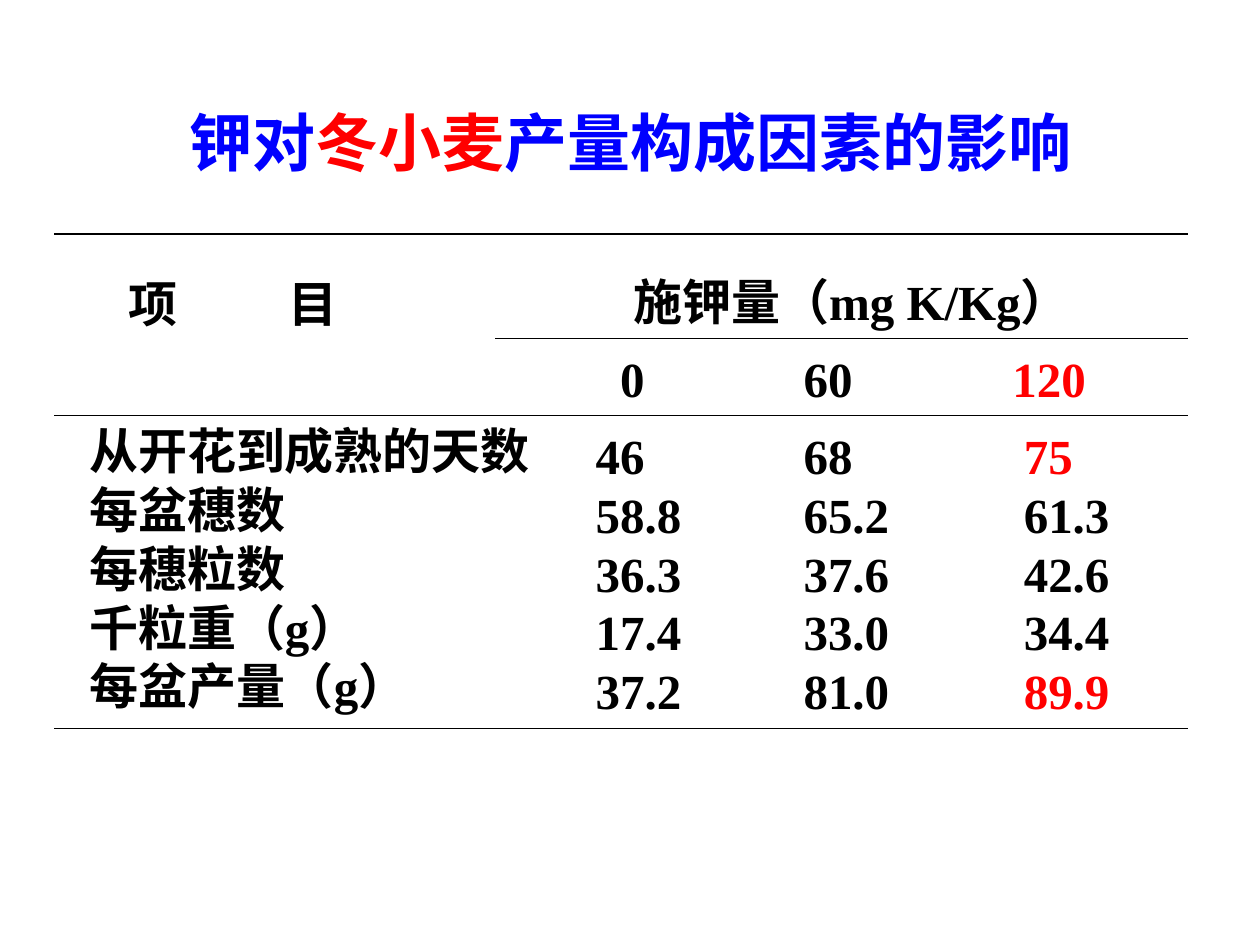
from lxml.etree import SubElement
from pptx import Presentation
from pptx.dml.color import RGBColor
from pptx.enum.shapes import MSO_CONNECTOR
from pptx.oxml.ns import qn
from pptx.util import Cm, Pt

BLACK, RED, BLUE = "000000", "FF0000", "0000FF"


def color(hex_string):
    return RGBColor.from_string(hex_string)


class SlideBuilder:
    """Holds the table text style and the current slide."""

    font_name = "Times New Roman"
    font_size = 28

    def __init__(self, slide):
        self.slide = slide

    def text(self, left, top, width, height, lines, tabs=None, wrap=False,
             spacing=None, font_name=font_name, font_size=font_size):
        """Add one paragraph per line; a line is a list of (text, colour) pieces.

        tabs and spacing map a line index to its tab stops and line spacing.
        """
        box = self.slide.shapes.add_textbox(Cm(left), Cm(top), Cm(width), Cm(height))
        frame = box.text_frame
        frame.word_wrap = wrap
        frame.margin_left = frame.margin_right = Cm(0.3)
        frame.margin_top = frame.margin_bottom = Cm(0.15)
        for index, pieces in enumerate(lines):
            paragraph = frame.paragraphs[0] if index == 0 else frame.add_paragraph()
            if tabs:
                self.tab_stops(paragraph, tabs[index])
            if spacing:
                paragraph.line_spacing = spacing[index]
            for content, hex_string in pieces:
                run = paragraph.add_run()
                run.text = content
                run.font.name = font_name
                run.font.size = Pt(font_size)
                run.font.bold = True
                run.font.color.rgb = color(hex_string)

    def tab_stops(self, paragraph, positions):
        tab_list = SubElement(paragraph._p.get_or_add_pPr(), qn("a:tabLst"))
        for position in positions:
            SubElement(tab_list, qn("a:tab"), pos=str(Cm(position)), algn="l")

    def rule(self, left, right, top, weight=0.75):
        line = self.slide.shapes.add_connector(
            MSO_CONNECTOR.STRAIGHT, Cm(left), Cm(top), Cm(right), Cm(top))
        line.line.color.rgb = color(BLACK)
        line.line.width = Pt(weight)
        SubElement(line._element.spPr, qn("a:effectLst"))


def main():
    presentation = Presentation()
    presentation.slide_width, presentation.slide_height = Cm(25.4), Cm(19.05)
    builder = SlideBuilder(presentation.slides.add_slide(presentation.slide_layouts[6]))

    title = [("钾对", BLUE), ("冬小麦", RED), ("产量构成因素的影响", BLUE)]
    builder.text(3.53, 1.93, 18.39, 1.83, [title], font_name="Arial", font_size=36)

    row_names = ["从开花到成熟的天数", "每盆穗数", "每穗粒数", "千粒重（g）", "每盆产量（g）"]
    builder.text(1.5, 8.33, 9.5, 6.25, [[(name, BLACK)] for name in row_names])
    builder.text(12.47, 5.33, 9.88, 1.5, [[("施钾量（mg K/Kg）", BLACK)]])
    builder.text(2.29, 5.36, 5.2, 1.5, [[("项\t目", BLACK)]], tabs=[[3.22]], wrap=True)

    rows = [
        ("\t0", "60", "120"),
        ("46", "68", "75"),
        ("58.8", "65.2", "61.3"),
        ("36.3", "37.6", "42.6"),
        ("17.4", "33.0", "34.4"),
        ("37.2", "81.0", "89.9"),
    ]
    highlighted = {"120", "75", "89.9"}
    lines = [[(f"{first}\t{second}\t", BLACK), (third, RED if third in highlighted else BLACK)]
             for first, second, third in rows]
    value_rows = len(rows) - 1
    builder.text(11.71, 6.53, 11.2, 8.13, lines, wrap=True,
                 tabs=[[0.49, 4.19, 8.4]] + [[4.19, 8.63]] * value_rows,
                 spacing=[1.3, 1.3] + [1.0] * (value_rows - 1))

    left, right = 1.09, 23.95
    builder.rule(left, right, 4.72, weight=1)
    builder.rule(left, right, 14.68)
    builder.rule(left, right, 8.38)
    builder.rule(9.98, right, 6.83)

    presentation.save("out.pptx")


if __name__ == "__main__":
    main()
